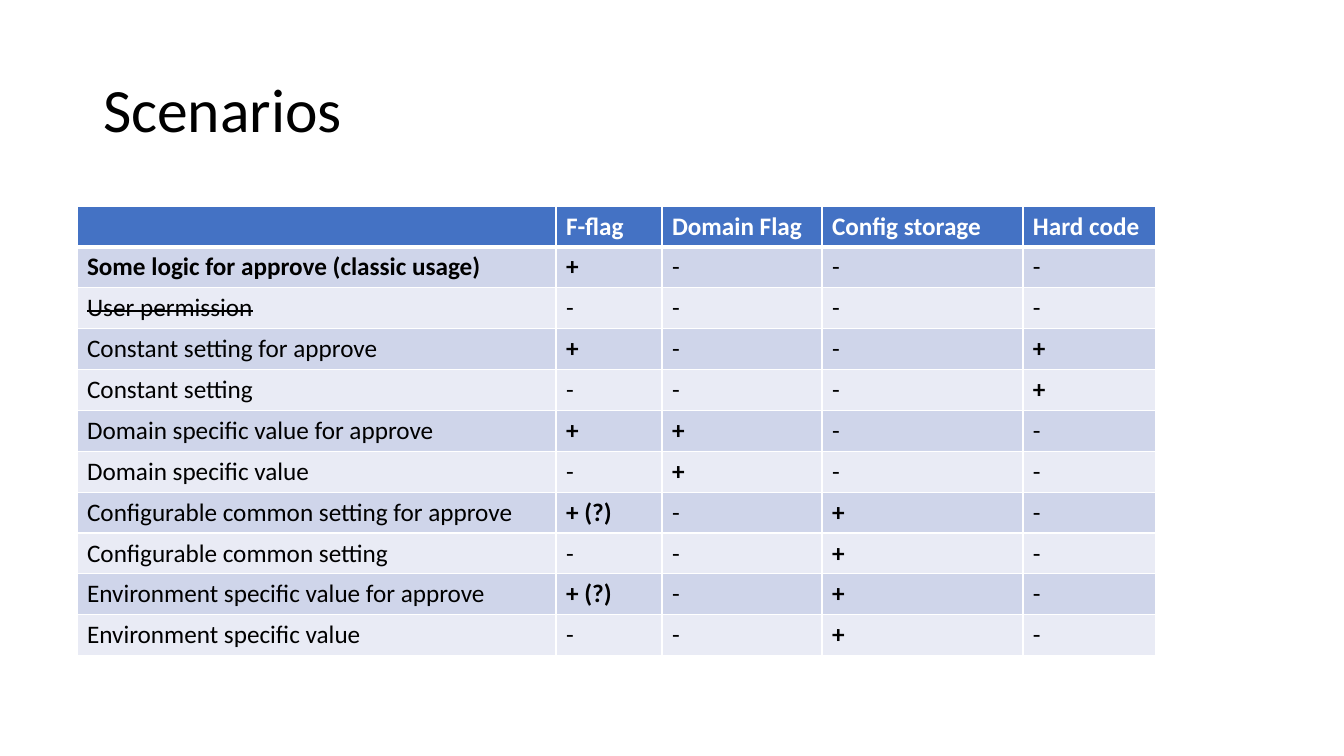
import pptx
import pptx.dml.color
import pptx.enum.text
import pptx.oxml
import pptx.oxml.ns
import pptx.util

SCALE = 914400 / 100.8  # EMU per pixel
FONT = "Calibri"
COLORS = {"black": "000000", "white": "FFFFFF", "header": "4472C4",
          "odd": "CFD5EA", "even": "E9EBF5"}
COLUMN_WIDTHS = [479, 106, 160, 201, 133]
HEADER = ["", "F-flag", "Domain Flag", "Config storage", "Hard code"]
SCENARIOS = [
    ["Some logic for approve (classic usage)", "+", "-", "-", "-"],
    ["User permission", "-", "-", "-", "-"],
    ["Constant setting for approve", "+", "-", "-", "+"],
    ["Constant setting", "-", "-", "-", "+"],
    ["Domain specific value for approve", "+", "+", "-", "-"],
    ["Domain specific value", "-", "+", "-", "-"],
    ["Configurable common setting for approve", "+ (?)", "-", "+", "-"],
    ["Configurable common setting", "-", "-", "+", "-"],
    ["Environment specific value for approve", "+ (?)", "-", "+", "-"],
    ["Environment specific value", "-", "-", "+", "-"],
]
BOLD_SCENARIO = "Some logic for approve (classic usage)"
STRUCK_SCENARIO = "User permission"


def px(n):
    """Turn pixels into EMU."""
    return pptx.util.Emu(round(n * SCALE))


def rgb(name):
    """Look up a named colour."""
    return pptx.dml.color.RGBColor.from_string(COLORS[name])


class Deck:
    """Holds the style and the current slide."""

    def __init__(self, prs):
        """Add a title-only slide to the presentation."""
        self.s = prs.slides.add_slide(prs.slide_layouts[5])

    def style(self, p, size, color, bold=False, strike=False):
        """Format every run of a paragraph."""
        for r in p.runs:
            r.font.name = FONT
            r.font.size = pptx.util.Pt(size)
            r.font.bold = bold
            r.font.color.rgb = rgb(color)
            if strike:
                r.font._element.set("strike", "sngStrike")

    def title(self, text, x, y, w, h):
        """Place and format the title placeholder."""
        sp = self.s.shapes.title
        sp.left, sp.top, sp.width, sp.height = map(px, (x, y, w, h))
        tf = sp.text_frame
        tf.text = text
        tf.word_wrap = True
        tf.auto_size = pptx.enum.text.MSO_AUTO_SIZE.NONE
        tf.vertical_anchor = pptx.enum.text.MSO_ANCHOR.MIDDLE
        p = tf.paragraphs[0]
        p.alignment = pptx.enum.text.PP_ALIGN.LEFT
        p.line_spacing = 0.9
        self.style(p, 44, "black")

    def borders(self, cell, top, bottom):
        """Draw white borders, with top and bottom widths in points."""
        tc_pr = cell._tc.get_or_add_tcPr()
        sides = (("L", 1), ("R", 1), ("T", top), ("B", bottom))
        for i, (side, width) in enumerate(sides):
            ln = pptx.oxml.parse_xml(
                f'<a:ln{side} {pptx.oxml.ns.nsdecls("a")} w="{width * 12700}">'
                f'<a:solidFill><a:srgbClr val="{COLORS["white"]}"/></a:solidFill>'
                f'</a:ln{side}>')
            tc_pr.insert(i, ln)

    def table(self, rows, widths, x, y, h):
        """Add a table with a header row and banded body rows."""
        table = self.s.shapes.add_table(
            len(rows), len(widths), px(x), px(y), px(sum(widths)), px(h)).table
        for column, width in zip(table.columns, widths):
            column.width = px(width)
        for i, values in enumerate(rows):
            table.rows[i].height = px(h / len(rows))
            fill = "header" if i == 0 else "odd" if i % 2 else "even"
            for j, text in enumerate(values):
                cell = table.cell(i, j)
                cell.text = text
                cell.fill.solid()
                cell.fill.fore_color.rgb = rgb(fill)
                self.borders(cell, 3 if i == 1 else 1, 3 if i == 0 else 1)
                bold = i == 0 or text.startswith("+") or text == BOLD_SCENARIO
                self.style(cell.text_frame.paragraphs[0], 18,
                           "white" if i == 0 else "black",
                           bold, text == STRUCK_SCENARIO)


prs = pptx.Presentation()
prs.slide_width, prs.slide_height = px(1344), px(756)
deck = Deck(prs)
deck.title("Scenarios", 93, 40, 1159, 146)
deck.table([HEADER] + SCENARIOS, COLUMN_WIDTHS, 77, 206, 450)
prs.save("out.pptx")
